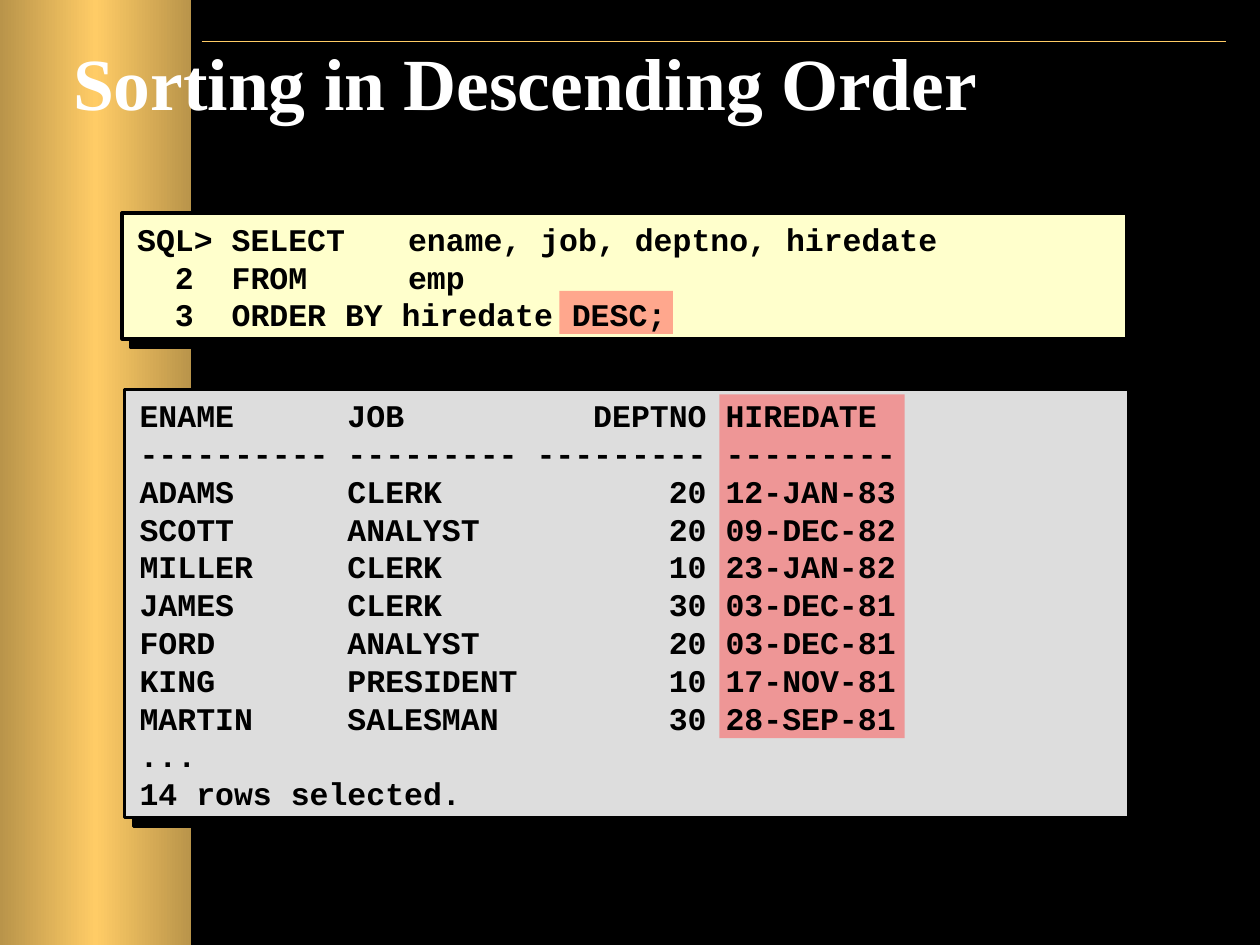
from copy import deepcopy

from lxml.etree import SubElement
from pptx import Presentation
from pptx.dml.color import RGBColor
from pptx.enum.shapes import MSO_CONNECTOR, MSO_SHAPE
from pptx.enum.text import MSO_ANCHOR, MSO_AUTO_SIZE, PP_ALIGN
from pptx.oxml.ns import qn
from pptx.util import Inches, Pt

BLACK = RGBColor(0x00, 0x00, 0x00)
WHITE = RGBColor(0xFF, 0xFF, 0xFF)
GOLD = RGBColor(0xFF, 0xCC, 0x66)
DARK_GOLD = RGBColor(0xB9, 0x94, 0x4A)
CREAM = RGBColor(0xFF, 0xFF, 0xCC)
GREY = RGBColor(0xDD, 0xDD, 0xDD)
RED = RGBColor(0xFF, 0x50, 0x50)

QUERY = [
    "SQL> SELECT  \t ename, job, deptno, hiredate",
    "  2  FROM    \t emp",
    "  3  ORDER BY hiredate DESC;",
]
EMPLOYEES = [
    ("ENAME", "JOB", "DEPTNO", "HIREDATE"),
    ("-" * 10, "-" * 9, "-" * 9, "-" * 9),
    ("ADAMS", "CLERK", "20", "12-JAN-83"),
    ("SCOTT", "ANALYST", "20", "09-DEC-82"),
    ("MILLER", "CLERK", "10", "23-JAN-82"),
    ("JAMES", "CLERK", "30", "03-DEC-81"),
    ("FORD", "ANALYST", "20", "03-DEC-81"),
    ("KING", "PRESIDENT", "10", "17-NOV-81"),
    ("MARTIN", "SALESMAN", "30", "28-SEP-81"),
]


def add_rectangle(slide, left, top, width, height):
    """Add a rectangle without outline or shadow."""
    rectangle = slide.shapes.add_shape(
        MSO_SHAPE.RECTANGLE, Inches(left), Inches(top), Inches(width), Inches(height))
    rectangle.shadow.inherit = False
    rectangle.line.fill.background()
    return rectangle


def add_band(slide):
    """Add the gold gradient band along the left edge."""
    band = add_rectangle(slide, 0, 0, 1.52, 7.5)
    band.fill.gradient()
    band.fill.gradient_angle = 0
    stop_list = band._element.spPr.find(".//" + qn("a:gsLst"))
    stop_list.append(deepcopy(stop_list[-1]))
    stops = zip(band.fill.gradient_stops, (0, 0.5, 1), (DARK_GOLD, GOLD, DARK_GOLD))
    for stop, position, color in stops:
        stop.position = position
        stop.color.rgb = color


def add_rule(slide):
    """Add the thin gold rule above the title."""
    rule = slide.shapes.add_connector(
        MSO_CONNECTOR.STRAIGHT, Inches(1.6), Inches(0.33), Inches(9.73), Inches(0.33))
    rule.line.color.rgb = GOLD
    rule.line.width = Pt(1)
    SubElement(rule._element.spPr, qn("a:effectLst"))


def add_panel(slide, left, top, width, height, color):
    """Add a filled panel with a hard black shadow."""
    panel = add_rectangle(slide, left, top, width, height)
    panel.fill.solid()
    panel.fill.fore_color.rgb = color
    panel.line.color.rgb = BLACK
    panel.line.width = Pt(2)
    effects = panel._element.spPr.find(qn("a:effectLst"))
    shadow = SubElement(effects, qn("a:outerShdw"), blurRad="0", dist=str(Pt(7.1)),
                        dir="2700000", algn="ctr", rotWithShape="0")
    SubElement(shadow, qn("a:srgbClr"), val=str(BLACK))


def add_highlight(slide, left, top, width, height):
    """Add a half transparent red marker."""
    highlight = add_rectangle(slide, left, top, width, height)
    highlight.fill.solid()
    highlight.fill.fore_color.rgb = RED
    color = highlight._element.spPr.find(qn("a:solidFill")).find(qn("a:srgbClr"))
    SubElement(color, qn("a:alpha"), val="50000")


def add_run(paragraph, text, font_name, size, color):
    """Add one bold run to a paragraph."""
    run = paragraph.add_run()
    run.text = text
    run.font.name = font_name
    run.font.size = Pt(size)
    run.font.bold = True
    run.font.color.rgb = color


def add_code(slide, left, top, width, height, lines):
    """Add monospaced lines, one paragraph each."""
    frame = slide.shapes.add_textbox(
        Inches(left), Inches(top), Inches(width), Inches(height)).text_frame
    frame.word_wrap = True
    frame.vertical_anchor = MSO_ANCHOR.MIDDLE
    for index, line in enumerate(lines):
        paragraph = frame.add_paragraph() if index else frame.paragraphs[0]
        paragraph.line_spacing = Pt(21.6)
        add_run(paragraph, line, "Courier New", 18, BLACK)


def set_title(slide, text):
    """Place the title in front of the band."""
    title = slide.shapes.title
    title.left, title.top = Inches(0.48), Inches(0.24)
    title.width, title.height = Inches(9), Inches(1.25)
    frame = title.text_frame
    frame.auto_size = MSO_AUTO_SIZE.NONE
    frame.vertical_anchor = MSO_ANCHOR.TOP
    paragraph = frame.paragraphs[0]
    paragraph.alignment = PP_ALIGN.LEFT
    add_run(paragraph, text, "Times New Roman", 42, WHITE)
    slide.shapes._spTree.append(title._element)


def main():
    """Build and save the slide."""
    presentation = Presentation()
    presentation.slide_width, presentation.slide_height = Inches(10), Inches(7.5)
    slide = presentation.slides.add_slide(presentation.slide_layouts[5])
    slide.background.fill.solid()
    slide.background.fill.fore_color.rgb = BLACK

    add_rule(slide)
    add_band(slide)
    add_panel(slide, 0.97, 1.69, 7.97, 1, CREAM)
    add_panel(slide, 0.99, 3.09, 7.97, 3.4, GREY)
    add_highlight(slide, 4.44, 2.31, 0.9, 0.34)
    add_highlight(slide, 5.71, 3.13, 1.47, 2.73)

    rows = [f"{name:<10} {job:<9} {department:>9} {hired}"
            for name, job, department, hired in EMPLOYEES]
    add_code(slide, 0.99, 1.68, 8, 1.03, QUERY)
    add_code(slide, 1.01, 3.08, 8, 3.43, rows + ["...", "14 rows selected."])
    set_title(slide, "Sorting in Descending Order")
    presentation.save("out.pptx")


if __name__ == "__main__":
    main()
